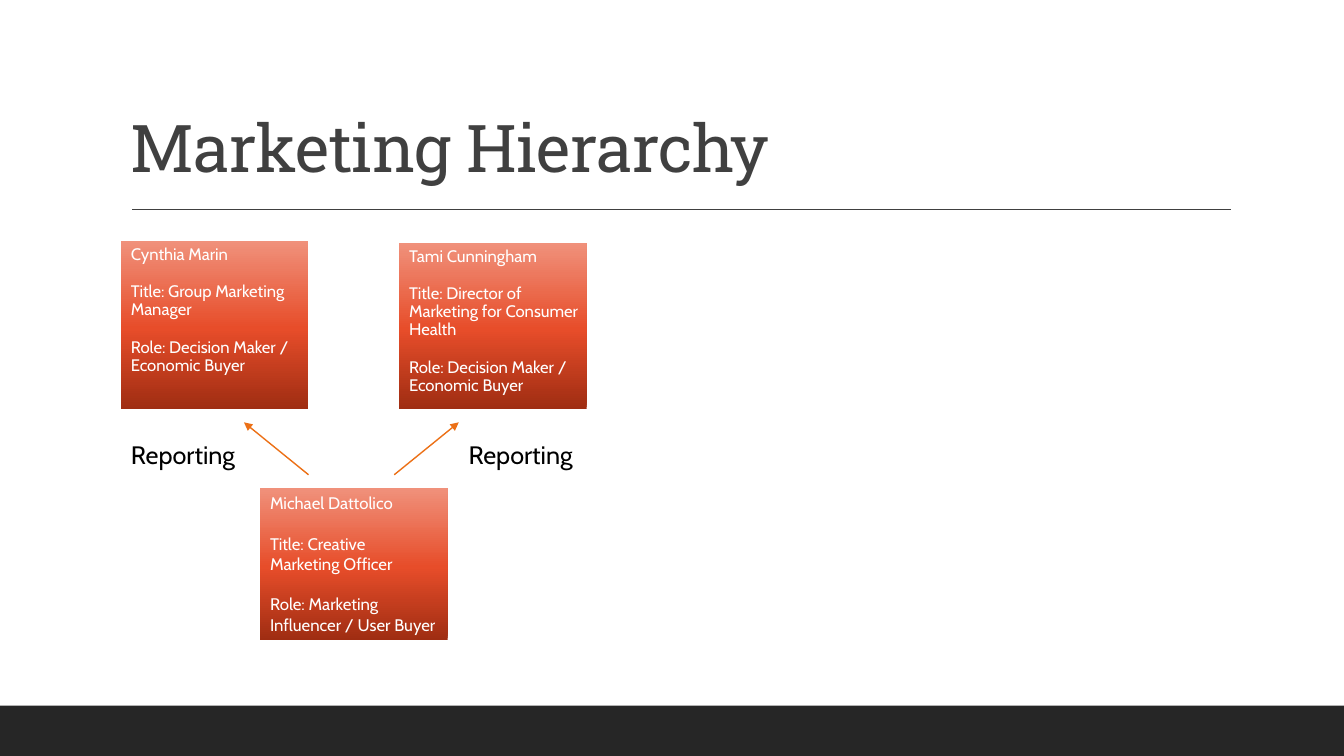
from copy import deepcopy
from dataclasses import dataclass

from pptx import Presentation, util as u
from pptx.dml import color as c
from pptx.enum import shapes as s, text as t
from pptx.oxml import ns, xmlchemy as x


@dataclass(frozen=True)
class Theme:
    head: str = "Roboto Slab"
    body: str = "Cabin"
    dark: str = "404040"
    bar: str = "262626"
    white: str = "FFFFFF"
    black: str = "000000"
    arrow: str = "EC7016"
    grad: tuple = ((0, "9F2D12"), (0.48, "E74D2A"), (1, "F0917B"))
    title: float = 47
    label: float = 18
    card: float = 12
    small: float = 11.9
    track: int = -50


@dataclass(frozen=True)
class Style:
    font: str
    size: float
    color: str
    lead: float = 1
    before: float = 0
    after: float = 0


@dataclass(frozen=True)
class Card:
    left: float
    top: float
    height: float
    right: float
    style: Style
    lines: tuple


@dataclass(frozen=True)
class Line:
    start: tuple
    end: tuple
    color: str
    arrow: bool = False


@dataclass(frozen=True)
class Label:
    text: str
    left: float
    top: float
    width: float
    height: float
    style: Style
    track: int = 0


T = Theme()
WIDE = 1.86
TOP = Style(T.body, T.small, T.white, 0.9, 12, 2)
LOW = Style(T.body, T.card, T.white, before=14.6)
HEAD = Style(T.head, T.title, T.dark, 0.9)
NOTE = Style(T.body, T.label, T.black)

CARDS = (
    Card(1.2, 2.39, 1.67, 0, TOP, (
        "Cynthia Marin",
        "Title: Group Marketing Manager",
        "Role: Decision Maker / Economic Buyer")),
    Card(3.96, 2.41, 1.65, 0, TOP, (
        "Tami Cunningham",
        "Title: Director of Marketing for Consumer Health",
        "Role: Decision Maker / Economic Buyer")),
    Card(2.58, 4.84, 1.51, 0.1, LOW, (
        "Michael Dattolico",
        "Title: Creative Marketing Officer",
        "Role: Marketing Influencer / User Buyer")),
)
LINES = (
    Line((1.31, 2.08), (12.21, 2.08), T.dark),
    Line((3.06, 4.71), (2.42, 4.19), T.arrow, True),
    Line((3.91, 4.71), (4.55, 4.19), T.arrow, True),
)
LABELS = (
    Label("Marketing Hierarchy", 1.2, 0.31, 11, 1.59, HEAD, T.track),
    Label("Reporting", 4.55, 4.31, 1.43, 0.4, NOTE),
    Label("Reporting", 1.2, 4.31, 1.38, 0.4, NOTE),
)


def rgb(code: str) -> c.RGBColor:
    return c.RGBColor.from_string(code)


def write(frame, lines: tuple, style: Style, track: int = 0) -> None:
    frame.word_wrap = True
    for i, line in enumerate(lines):
        para = frame.add_paragraph() if i else frame.paragraphs[0]
        para.alignment = t.PP_ALIGN.LEFT
        para.line_spacing = style.lead
        para.space_before = u.Pt(style.before if i else 0)
        para.space_after = u.Pt(style.after)
        run = para.add_run()
        run.text = line
        run.font.name = style.font
        run.font.size = u.Pt(style.size)
        run.font.color.rgb = rgb(style.color)
        if track:
            run.font._element.set("spc", str(track))


def add_box(slide, left: float, top: float, width: float, height: float):
    box = slide.shapes.add_shape(
        s.MSO_SHAPE.RECTANGLE, *map(u.Inches, (left, top, width, height)))
    box.shadow.inherit = False
    box.line.fill.background()
    return box


def shade(box) -> None:
    """Fill the box with the theme gradient, dark end at the bottom."""
    box.fill.gradient()
    box.fill.gradient_angle = 90
    stops = box._element.spPr.find(".//" + ns.qn("a:gsLst"))
    stops.append(deepcopy(stops[0]))
    for stop, (place, code) in zip(box.fill.gradient_stops, T.grad):
        stop.position = place
        stop.color.rgb = rgb(code)


def add_card(slide, card: Card) -> None:
    box = add_box(slide, card.left, card.top, WIDE, card.height)
    shade(box)
    frame = box.text_frame
    frame.margin_right = u.Inches(card.right)
    frame.vertical_anchor = t.MSO_ANCHOR.TOP
    write(frame, card.lines, card.style)


def add_line(slide, line: Line) -> None:
    link = slide.shapes.add_connector(
        s.MSO_CONNECTOR.STRAIGHT, *map(u.Inches, line.start + line.end))
    link.line.color.rgb = rgb(line.color)
    link.line.width = u.Pt(1)
    if line.arrow:
        tip = x.OxmlElement("a:tailEnd")
        tip.set("type", "triangle")
        link.line._get_or_add_ln().append(tip)
    link._element.spPr.append(x.OxmlElement("a:effectLst"))


def add_label(slide, label: Label) -> None:
    box = slide.shapes.add_textbox(*map(
        u.Inches, (label.left, label.top, label.width, label.height)))
    box.text_frame.vertical_anchor = t.MSO_ANCHOR.BOTTOM
    write(box.text_frame, (label.text,), label.style, label.track)


def main() -> None:
    deck = Presentation()
    deck.slide_width, deck.slide_height = u.Inches(13.33), u.Inches(7.5)
    slide = deck.slides.add_slide(deck.slide_layouts[6])
    bar = add_box(slide, 0, 7, 13.33, 0.5)
    bar.fill.solid()
    bar.fill.fore_color.rgb = rgb(T.bar)
    for card in CARDS:
        add_card(slide, card)
    for line in LINES:
        add_line(slide, line)
    for label in LABELS:
        add_label(slide, label)
    deck.save("out.pptx")


if __name__ == "__main__":
    main()
